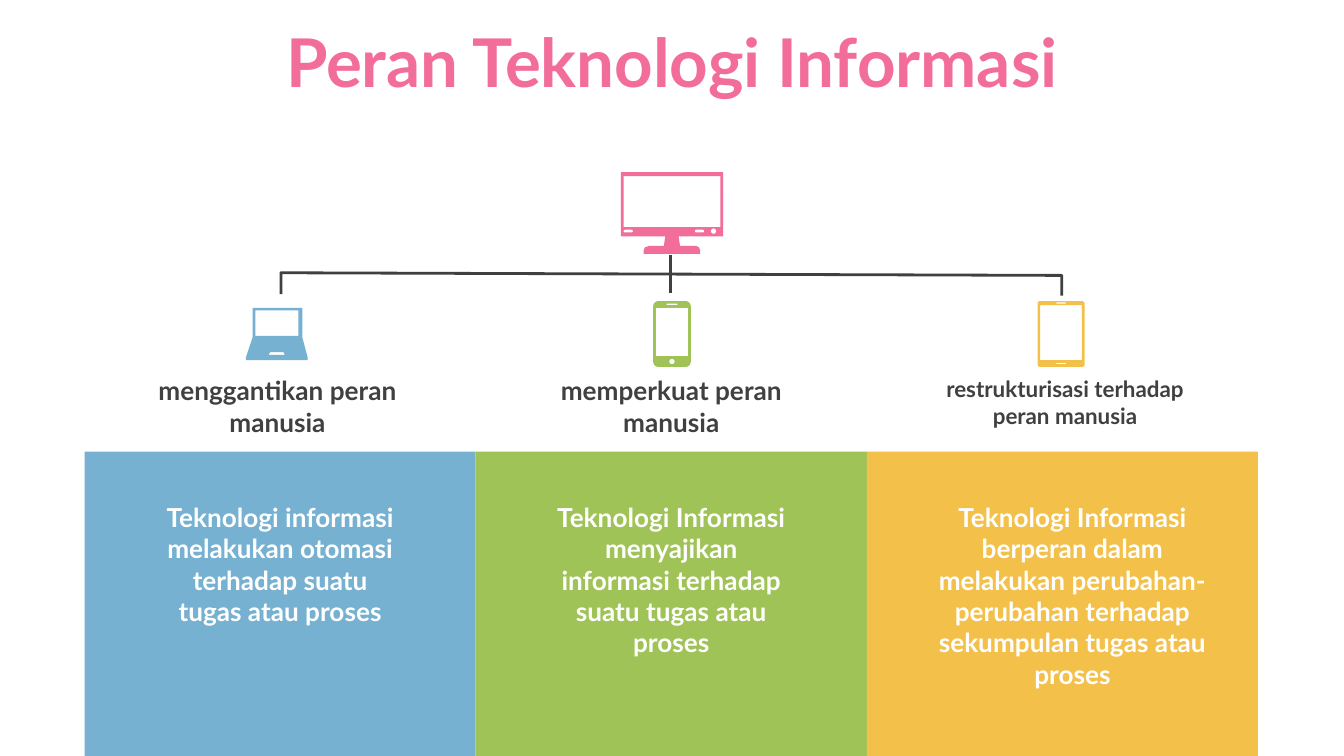
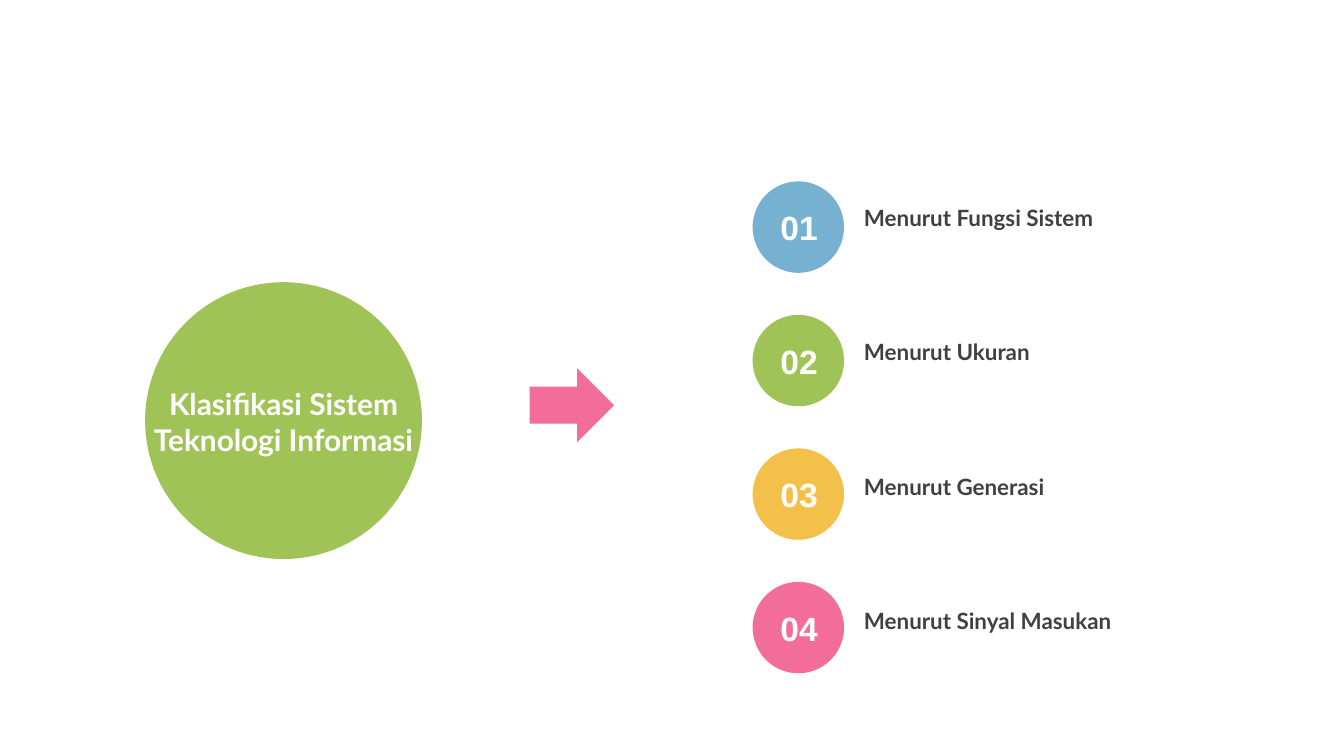
from dataclasses import dataclass
from math import cos, pi, sin

from lxml import etree
from pptx import Presentation
from pptx.dml.color import RGBColor
from pptx.enum.shapes import MSO_CONNECTOR, MSO_SHAPE
from pptx.enum.text import MSO_ANCHOR, MSO_AUTO_SIZE, PP_ALIGN
from pptx.oxml.ns import qn
from pptx.util import Inches, Pt

COLORS = {
    "blue": "76B1D1",
    "green": "A0C358",
    "yellow": "F3C04A",
    "pink": "F26D9A",
    "dark": "404040",
    "white": "FFFFFF",
}
FONT = "Lato"
NUMBER_FONT = "Arial"
TITLE_ONLY = 5
SLIDE_WIDTH = 10
SLIDE_HEIGHT = SLIDE_WIDTH * 9 / 16

Box = tuple[float, float, float, float]
Contour = list[tuple[float, float]]


@dataclass
class Style:
    size: float
    color: str = "dark"
    font: str = FONT
    align: PP_ALIGN = PP_ALIGN.CENTER
    anchor: MSO_ANCHOR = MSO_ANCHOR.TOP


@dataclass
class Role:
    color: str
    heading: str
    heading_box: Box
    heading_size: float
    body: str
    body_box: Box
    icon: list[Contour]


@dataclass
class Category:
    color: str
    label: str


# Shared drawing functions
def rgb(name: str) -> RGBColor:
    return RGBColor.from_string(COLORS[name])


def set_text(sp, text: str, style: Style) -> None:
    tf = sp.text_frame
    tf.word_wrap = True
    tf.vertical_anchor = style.anchor
    p = tf.paragraphs[0]
    p.text = text
    p.alignment = style.align
    p.font.name = style.font
    p.font.size = Pt(style.size)
    p.font.bold = True
    p.font.color.rgb = rgb(style.color)


def add_text(s, box: Box, text: str, style: Style) -> None:
    sp = s.shapes.add_textbox(*map(Inches, box))
    set_text(sp, text, style)
    sp.text_frame.auto_size = MSO_AUTO_SIZE.SHAPE_TO_FIT_TEXT


def add_title(s, box: Box, text: str, style: Style) -> None:
    sp = s.shapes.title
    sp.left, sp.top, sp.width, sp.height = map(Inches, box)
    set_text(sp, text, style)
    sp.text_frame.auto_size = MSO_AUTO_SIZE.NONE
    # The title lies in front of whatever has been drawn so far
    sp.element.getparent().append(sp.element)


def paint(sp, color: str) -> None:
    sp.shadow.inherit = False
    sp.fill.solid()
    sp.fill.fore_color.rgb = rgb(color)
    sp.line.fill.background()


def add_block(s, kind: MSO_SHAPE, box: Box, color: str) -> None:
    paint(s.shapes.add_shape(kind, *map(Inches, box)), color)


def add_outline(s, contours: list[Contour], closed: bool = True):
    builder = None
    for contour in contours:
        first, *rest = [(Inches(x), Inches(y)) for x, y in contour]
        if builder is None:
            builder = s.shapes.build_freeform(*first)
        else:
            builder.move_to(*first)
        builder.add_line_segments(rest, close=closed)
    return builder.convert_to_shape()


# Contours for the icons; inner contours become holes
def rounded(x: float, y: float, w: float, h: float, r: float = 0) -> Contour:
    if r == 0:
        return [(x, y), (x + w, y), (x + w, y + h), (x, y + h)]
    centres = [(x + w - r, y + h - r), (x + r, y + h - r),
               (x + r, y + r), (x + w - r, y + r)]
    steps = 6
    return [
        (cx + r * cos(a), cy + r * sin(a))
        for corner, (cx, cy) in enumerate(centres)
        for a in [(corner + i / steps) * pi / 2 for i in range(steps + 1)]
    ]


LAPTOP = [
    [(1.88, 2.29), (2.25, 2.29), (2.25, 2.51), (2.29, 2.66),
     (2.29, 2.68), (1.83, 2.68), (1.83, 2.66), (1.88, 2.51)],
    rounded(1.9, 2.31, 0.32, 0.19),
    [(2.01, 2.62), (2.11, 2.62), (2.12, 2.64), (2, 2.64)],
]
PHONE = [
    rounded(4.86, 2.24, 0.28, 0.49, 0.04),
    rounded(4.88, 2.29, 0.24, 0.36),
    rounded(4.96, 2.26, 0.08, 0.01),
    rounded(4.98, 2.67, 0.04, 0.04, 0.02),
]
TABLET = [
    rounded(7.72, 2.24, 0.35, 0.49, 0.02),
    rounded(7.74, 2.27, 0.31, 0.41),
    rounded(7.86, 2.25, 0.07, 0.01),
    rounded(7.86, 2.7, 0.07, 0.01),
]
MONITOR = [
    [(4.62, 1.28), (5.38, 1.28), (5.38, 1.76), (5.05, 1.76), (5.06, 1.83),
     (5.18, 1.83), (5.2, 1.84), (5.21, 1.86), (5.21, 1.89), (4.79, 1.89),
     (4.79, 1.86), (4.8, 1.84), (4.83, 1.83), (4.94, 1.83), (4.95, 1.76),
     (4.62, 1.76)],
    rounded(4.64, 1.31, 0.72, 0.38),
    rounded(4.64, 1.71, 0.07, 0.02, 0.01),
    rounded(5.17, 1.71, 0.07, 0.02, 0.01),
    rounded(5.29, 1.7, 0.04, 0.04, 0.02),
]

ROLES = [
    Role("blue", "menggantikan peran manusia", (1.01, 2.74, 2.11, 0.57), 14,
         "Teknologi informasi melakukan otomasi terhadap suatu tugas atau proses",
         (1.12, 3.68, 1.93, 1.04), LAPTOP),
    Role("green", "memperkuat peran manusia", (3.94, 2.74, 2.11, 0.57), 14,
         "Teknologi Informasi menyajikan informasi terhadap suatu tugas atau proses",
         (4.03, 3.68, 1.93, 1.28), PHONE),
    Role("yellow", "restrukturisasi terhadap peran manusia",
         (6.87, 2.74, 2.11, 0.5), 12,
         "Teknologi Informasi berperan dalam melakukan perubahan-perubahan "
         "terhadap sekumpulan tugas atau proses",
         (6.88, 3.68, 2.2, 1.51), TABLET),
]
CATEGORIES = [
    Category("blue", "Menurut Fungsi Sistem"),
    Category("green", "Menurut Ukuran"),
    Category("yellow", "Menurut Generasi"),
    Category("pink", "Menurut Sinyal Masukan"),
]


def add_tree_lines(s) -> None:
    bracket = add_outline(
        s, [[(2.09, 2.19), (2.09, 2.03), (7.9, 2.05), (7.9, 2.2)]], closed=False)
    bracket.shadow.inherit = False
    bracket.fill.background()
    stem = s.shapes.add_connector(
        MSO_CONNECTOR.STRAIGHT, *map(Inches, (4.99, 1.9, 4.99, 2.18)))
    etree.SubElement(stem.element.spPr, qn("a:effectLst"))
    for sp in (bracket, stem):
        sp.line.color.rgb = rgb("dark")
        sp.line.width = Pt(1.5)


def build_roles(prs) -> None:
    s = prs.slides.add_slide(prs.slide_layouts[TITLE_ONLY])
    add_title(s, (0, 0.03, SLIDE_WIDTH, 0.85), "Peran Teknologi Informasi",
              Style(36, "pink", anchor=MSO_ANCHOR.MIDDLE))
    paint(add_outline(s, MONITOR), "pink")
    add_tree_lines(s)
    # One column per role, reaching down to the slide edge
    top, width = 3.36, 2.91
    for i, role in enumerate(ROLES):
        add_block(s, MSO_SHAPE.RECTANGLE,
                  (0.63 + i * width, top, width, SLIDE_HEIGHT - top), role.color)
        paint(add_outline(s, role.icon), role.color)
        add_text(s, role.heading_box, role.heading, Style(role.heading_size))
        add_text(s, role.body_box, role.body, Style(14, "white"))


def build_classification(prs) -> None:
    s = prs.slides.add_slide(prs.slide_layouts[TITLE_ONLY])
    add_block(s, MSO_SHAPE.OVAL, (1.08, 2.1, 2.06, 2.06), "green")
    add_title(s, (0.8, 2.71, 2.62, 0.85),
              "Klasifikasi Sistem Teknologi Informasi",
              Style(16, "white", anchor=MSO_ANCHOR.MIDDLE))
    add_block(s, MSO_SHAPE.RIGHT_ARROW, (3.94, 2.74, 0.63, 0.55), "pink")
    # Numbered categories
    number = Style(18, "white", NUMBER_FONT, anchor=MSO_ANCHOR.MIDDLE)
    label = Style(12, align=PP_ALIGN.LEFT)
    pitch = 2.98 / 3
    for i, category in enumerate(CATEGORIES):
        top = 1.35 + i * pitch
        add_block(s, MSO_SHAPE.OVAL, (5.6, top, 0.68, 0.68), category.color)
        add_text(s, (5.7, top + 0.14, 0.49, 0.4), f"{i + 1:02}", number)
        add_text(s, (6.33, 1.47 + i, 3.1, 0.3), category.label, label)


def main() -> None:
    prs = Presentation()
    prs.slide_width, prs.slide_height = Inches(SLIDE_WIDTH), Inches(SLIDE_HEIGHT)
    build_roles(prs)
    build_classification(prs)
    prs.save("out.pptx")


if __name__ == "__main__":
    main()
